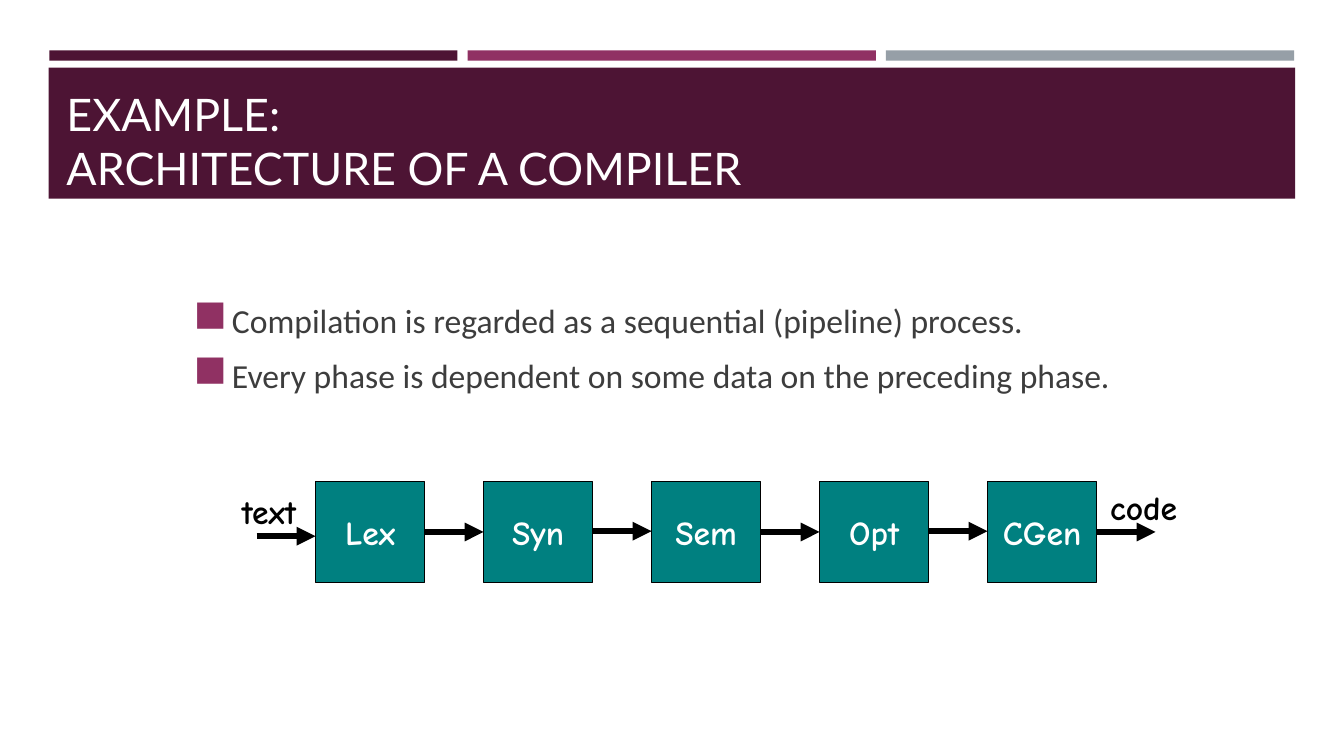
from lxml import etree
from pptx import Presentation
from pptx.dml.color import RGBColor
from pptx.enum import shapes, text
from pptx.oxml import ns
from pptx.util import Pt

HUE = {"plum": "4D1434", "rose": "903163", "gray": "969FA7", "teal": "008080",
       "white": "FFFFFF", "black": "000000", "ink": "3D3D3D"}

deck = Presentation()
deck.slide_width, deck.slide_height = Pt(960), Pt(540)
slide = deck.slides.add_slide(deck.slide_layouts[6])


def put(words="", box=(0, 0, 0, 0), fill=None, edge=None, font="Comic Neue", size=24,
        hue="black", bold=False, align="CENTER", anchor="MIDDLE", wrap=True, gap=0):
    if fill:
        item = slide.shapes.add_shape(shapes.MSO_SHAPE.RECTANGLE, *map(Pt, box))
        item.shadow.inherit = False
        item.fill.solid()
        item.fill.fore_color.rgb = RGBColor.from_string(HUE[fill])
        if edge:
            item.line.color.rgb = RGBColor.from_string(HUE[edge])
            item.line.width = Pt(1)
        else:
            item.line.fill.background()
    else:
        item = slide.shapes.add_textbox(*map(Pt, box))
    frame = item.text_frame
    frame.word_wrap = wrap
    frame.vertical_anchor = text.MSO_ANCHOR[anchor]
    frame.text = words
    for i, para in enumerate(frame.paragraphs):
        para.alignment = text.PP_ALIGN[align]
        if i:
            para.space_before = Pt(gap)
        for run in para.runs:
            run.font.name, run.font.size, run.font.bold = font, Pt(size), bold
            run.font.color.rgb = RGBColor.from_string(HUE[hue])
    return item


def sub(node, tag, **attrs):
    return etree.SubElement(node, ns.qn(tag), **attrs)


for i, hue in enumerate(["plum", "rose", "gray"]):
    put(box=(35.2 + 298.8 * i, 36, 291.6, 7.4), fill=hue)
put(box=(34.8, 48.4, 890.4, 93.6), fill="plum")

put("EXAMPLE:\vARCHITECTURE OF A COMPILER", (40.4, 46.8, 612, 95.8), font="Lato",
    size=32, hue="white", align="LEFT", anchor="BOTTOM")

body = put("Compilation is regarded as a sequential (pipeline) process.\n"
           "Every phase is dependent on some data on the preceding phase.",
           (134.6, 200.8, 704, 121), font="Calibri", hue="ink", align="LEFT",
           anchor="TOP", gap=10.8)
body.text_frame.margin_top = Pt(13.4)
for para in body.text_frame.paragraphs:
    props = para._p.get_or_add_pPr()
    props.set("marL", str(Pt(24)))
    props.set("indent", str(Pt(-24)))
    sub(sub(props, "a:buClr"), "a:srgbClr", val=HUE["rose"])
    sub(props, "a:buSzPct", val="92000")
    sub(props, "a:buFont", typeface="Wingdings 2")
    sub(props, "a:buChar", char="\uf0a2")

left, step, wide, high = 225.4, 120, 78, 72
phases = ["Lex", "Syn", "Sem", "Opt", "CGen"]
for i, name in enumerate(phases):
    put(name, (left + step * i, 344, wide, high), fill="teal", edge="black",
        hue="white", bold=True)

put("text", (159.8, 347, 64.8, 36), bold=True, wrap=False)
put("code", (783.4, 344, 67, 36), bold=True, wrap=False)

for i in range(len(phases) + 1):
    end = left + step * i
    if i == 0:
        y = 383
    else:
        y = 380 if i % 2 else 379.4
    arrow = slide.shapes.add_connector(shapes.MSO_CONNECTOR.STRAIGHT,
                                       Pt(end - step + wide), Pt(y), Pt(end), Pt(y))
    arrow.line.color.rgb = RGBColor.from_string(HUE["black"])
    arrow.line.width = Pt(4.5)
    sub(arrow.line._get_or_add_ln(), "a:tailEnd", type="triangle")
    sub(arrow._element.spPr, "a:effectLst")

deck.save("out.pptx")
